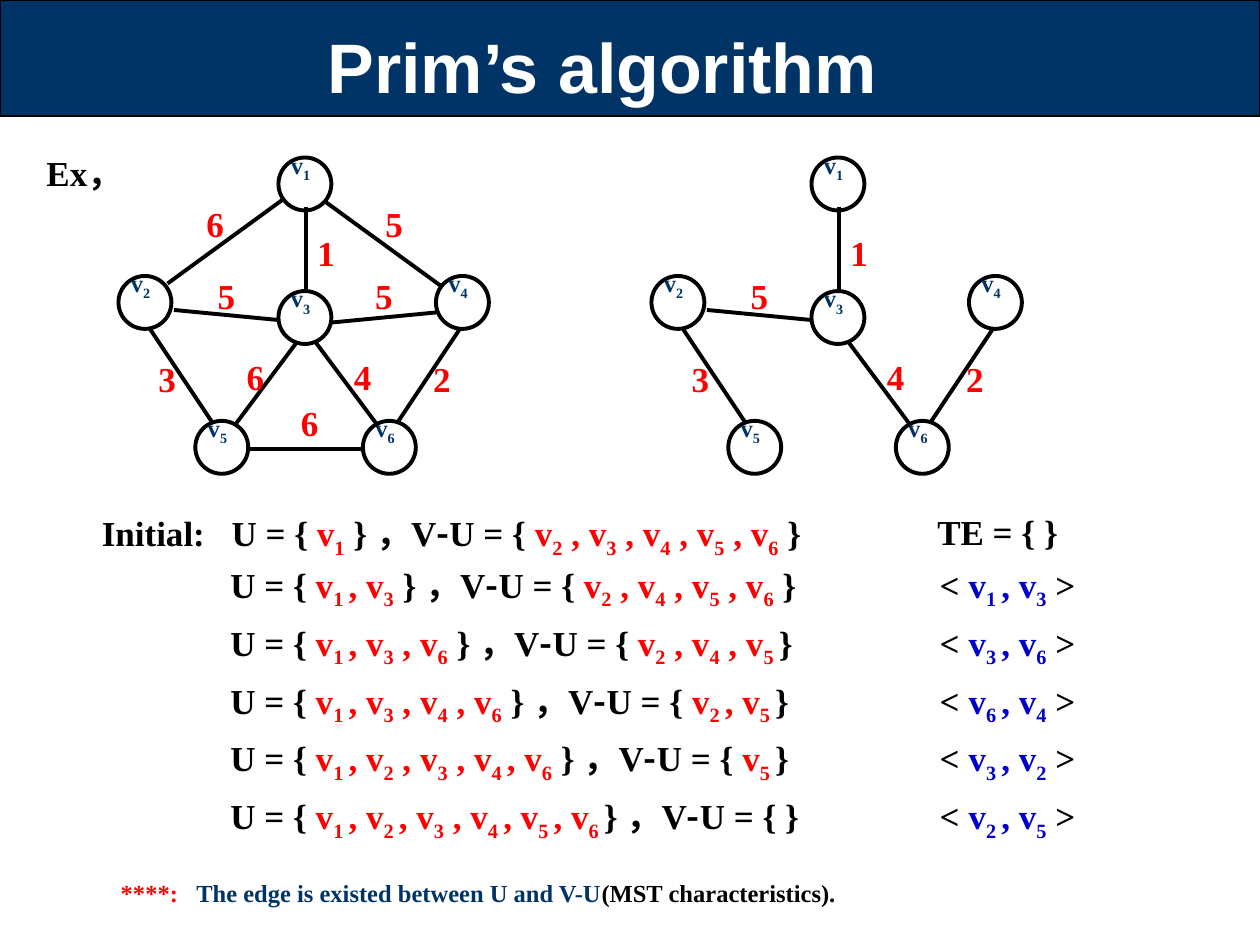
"""Build the slide on Prim's algorithm."""
from dataclasses import dataclass
from itertools import groupby
from typing import NamedTuple

from lxml import etree
from pptx import Presentation
from pptx.dml.color import RGBColor
from pptx.enum.shapes import MSO_CONNECTOR, MSO_SHAPE
from pptx.enum.text import MSO_ANCHOR, MSO_AUTO_SIZE, PP_ALIGN
from pptx.oxml.ns import qn
from pptx.util import Inches, Pt

LINE = MSO_CONNECTOR.STRAIGHT
DISC = MSO_SHAPE.OVAL
RECT = MSO_SHAPE.RECTANGLE
GROW = MSO_AUTO_SIZE.SHAPE_TO_FIT_TEXT
FIXED = MSO_AUTO_SIZE.NONE
CENTER = PP_ALIGN.CENTER
MIDDLE = MSO_ANCHOR.MIDDLE


@dataclass(frozen=True)
class Theme:
    """Colours, fonts and sizes of the slide."""
    navy: str = "003366"
    black: str = "000000"
    red: str = "FF0000"
    blue: str = "0000CC"
    white: str = "FFFFFF"
    head: str = "Arial"
    body: str = "Times New Roman"
    dash: str = "Noto Sans CJK SC"
    title: float = 40
    text: float = 20
    small: float = 14
    stroke: float = 2.25
    thin: float = 0.75


class Box(NamedTuple):
    """A place on the slide in inches."""
    x: float
    y: float
    w: float
    h: float


class Part(NamedTuple):
    """A piece of text in which digits are lowered and _ is a low space."""
    text: str
    color: str
    font: str = ""


class Node(NamedTuple):
    """A vertex of the graph."""
    name: str
    x: float
    y: float


class Edge(NamedTuple):
    """A line with its cost and the place of the cost."""
    start: tuple[float, float]
    end: tuple[float, float]
    cost: str
    spot: tuple[float, float]
    tree: bool = False


class Step(NamedTuple):
    """The two vertex sets and the edge that is added."""
    done: str
    rest: str
    pair: str


THEME = Theme()
LOW = "123456_"

NODES = [
    Node("v1", 2.21, 1.25), Node("v2", 0.94, 2.19), Node("v3", 2.21, 2.31),
    Node("v5", 1.55, 3.34), Node("v4", 3.46, 2.19), Node("v6", 2.88, 3.34),
]
EDGES = [
    Edge((2.43, 1.64), (2.43, 2.31), "1", (2.42, 1.79), True),
    Edge((2.25, 1.58), (1.33, 2.25), "6", (1.54, 1.56)),
    Edge((2.58, 1.6), (3.5, 2.27), "5", (2.96, 1.56)),
    Edge((1.38, 2.46), (2.21, 2.54), "5", (1.63, 2.13), True),
    Edge((3.46, 2.48), (2.63, 2.56), "5", (2.88, 2.13)),
    Edge((1.19, 2.61), (1.69, 3.36), "3", (1.16, 2.79), True),
    Edge((3.65, 2.61), (3.15, 3.36), "2", (3.34, 2.79), True),
    Edge((1.96, 3.56), (2.88, 3.56), "6", (2.29, 3.14)),
    Edge((2.36, 2.71), (1.86, 3.38), "6", (1.86, 2.77)),
    Edge((2.5, 2.71), (3, 3.38), "4", (2.71, 2.77), True),
]
START = Step("v1 ", "v2 , v3 , v4 , v5 , v6 ", "")
STEPS = [
    Step("v1_, v3 ", "v2 , v4 , v5 , v6 ", "v1_, v3"),
    Step("v1_, v3 , v6 ", "v2 , v4 , v5_", "v3_, v6"),
    Step("v1_, v3 , v4 , v6 ", "v2_, v5_", "v6_, v4"),
    Step("v1_, v2 , v3 , v4_, v6 ", "v5_", "v3_, v2"),
    Step("v1_, v2_, v3 , v4_, v5_, v6_", "", "v2_, v5"),
]


def paint(color: str) -> RGBColor:
    """Turn a hex string into a colour."""
    return RGBColor.from_string(color)


def write(shapes, box: Box, parts: list[Part], size: float = THEME.text,
          tab: float = 0) -> None:
    """Add a text box with lowered digits."""
    frame = shapes.add_textbox(*map(Inches, box)).text_frame
    frame.word_wrap = True
    frame.auto_size = GROW
    para = frame.paragraphs[0]
    if tab:
        stops = etree.SubElement(para._p.get_or_add_pPr(), qn("a:tabLst"))
        etree.SubElement(stops, qn("a:tab"), pos=str(Inches(tab)), algn="l")
    para.font.name = THEME.body
    para.font.size = Pt(size)
    para.font.bold = True
    for part in parts:
        for low, chars in groupby(part.text, key=lambda char: char in LOW):
            run = para.add_run()
            run.text = "".join(chars).replace("_", " ")
            run.font.color.rgb = paint(part.color)
            if part.font:
                run.font.name = part.font
            if low:
                run._r.get_or_add_rPr().set("baseline", "-25000")


def draw_node(shapes, node: Node, shift: float) -> None:
    """Draw a vertex and its name."""
    x = node.x + shift
    disc = shapes.add_shape(DISC, *map(Inches, Box(x, node.y, 0.42, 0.42)))
    disc.shadow.inherit = False
    disc.fill.background()
    disc.line.color.rgb = paint(THEME.black)
    disc.line.width = Pt(THEME.stroke)
    write(shapes, Box(x, node.y - 0.11, 0.75, 0.5),
          [Part(node.name, THEME.navy)], THEME.small)


def draw_edge(shapes, edge: Edge, shift: float) -> None:
    """Draw a line between two vertices."""
    (x1, y1), (x2, y2) = edge.start, edge.end
    ends = (x1 + shift, y1, x2 + shift, y2)
    line = shapes.add_connector(LINE, *map(Inches, ends))
    line.line.color.rgb = paint(THEME.black)
    line.line.width = Pt(THEME.stroke)
    etree.SubElement(line._element.spPr, qn("a:effectLst"))


def draw_cost(shapes, edge: Edge, shift: float) -> None:
    """Write the cost of an edge at full height."""
    x, y = edge.spot
    frame = shapes.add_textbox(
        *map(Inches, Box(x + shift, y, 0.33, 0.43))).text_frame
    frame.word_wrap = True
    frame.auto_size = GROW
    para = frame.paragraphs[0]
    para.text = edge.cost
    para.font.name = THEME.body
    para.font.size = Pt(THEME.text)
    para.font.bold = True
    para.font.color.rgb = paint(THEME.red)


def draw_graph(slide, edges: list[Edge], shift: float = 0) -> None:
    """Draw all vertices and the given edges as a group."""
    shapes = slide.shapes.add_group_shape().shapes
    for node in NODES:
        draw_node(shapes, node, shift)
    for edge in edges:
        draw_edge(shapes, edge, shift)
        draw_cost(shapes, edge, shift)


def list_sets(step: Step, lead: str = "") -> list[Part]:
    """Give the text parts of both sets."""
    ink, red = THEME.black, THEME.red
    return [Part(lead + "U = { ", ink), Part(step.done, red),
            Part("} ，V", ink), Part("-", ink, THEME.dash),
            Part("U = { ", ink), Part(step.rest, red), Part("}", ink)]


def draw_title(slide) -> None:
    """Draw the bar and place the title on it."""
    bar = slide.shapes.add_shape(RECT, *map(Inches, Box(0, 0, 10, 0.92)))
    bar.shadow.inherit = False
    bar.fill.solid()
    bar.fill.fore_color.rgb = paint(THEME.navy)
    bar.line.color.rgb = paint(THEME.black)
    bar.line.width = Pt(THEME.thin)
    title = slide.shapes.title
    bar._element.addnext(title._element)
    title.left, title.top, title.width, title.height = map(
        Inches, Box(2.24, 0.21, 5.08, 0.62))
    frame = title.text_frame
    frame.auto_size = FIXED
    frame.vertical_anchor = MIDDLE
    para = frame.paragraphs[0]
    para.text = "Prim’s algorithm"
    para.alignment = CENTER
    para.font.name = THEME.head
    para.font.size = Pt(THEME.title)
    para.font.bold = True
    para.font.color.rgb = paint(THEME.white)


def main() -> None:
    """Build and save the slide."""
    deck = Presentation()
    deck.slide_width, deck.slide_height = Inches(10), Inches(7.5)
    slide = deck.slides.add_slide(deck.slide_layouts[5])
    shapes, ink = slide.shapes, THEME.black
    draw_title(slide)
    draw_graph(slide, EDGES)
    write(shapes, Box(0.27, 1.15, 1.42, 0.43), [Part("Ex，", ink)])
    draw_graph(slide, [edge for edge in EDGES if edge.tree], 4.23)
    write(shapes, Box(0.71, 4.01, 6.34, 0.43),
          list_sets(START, "Initial:\t"), tab=1.03)
    write(shapes, Box(7.34, 4, 1.75, 0.43), [Part("TE = { }", ink)])
    for i, step in enumerate(STEPS):
        y = 4.42 + 0.46 * i
        write(shapes, Box(1.73, y, 5.1, 0.43), list_sets(step))
        write(shapes, Box(7.36, y, 1.42, 0.43),
              [Part("< ", ink), Part(step.pair, THEME.blue), Part(" >", ink)])
    write(shapes, Box(0.86, 6.92, 7.78, 0.4),
          [Part("****:\t", THEME.red),
           Part("The edge is existed between U and V-U", THEME.navy),
           Part("(MST characteristics).", ink)], THEME.small, tab=0.6)
    deck.save("out.pptx")


if __name__ == "__main__":
    main()
